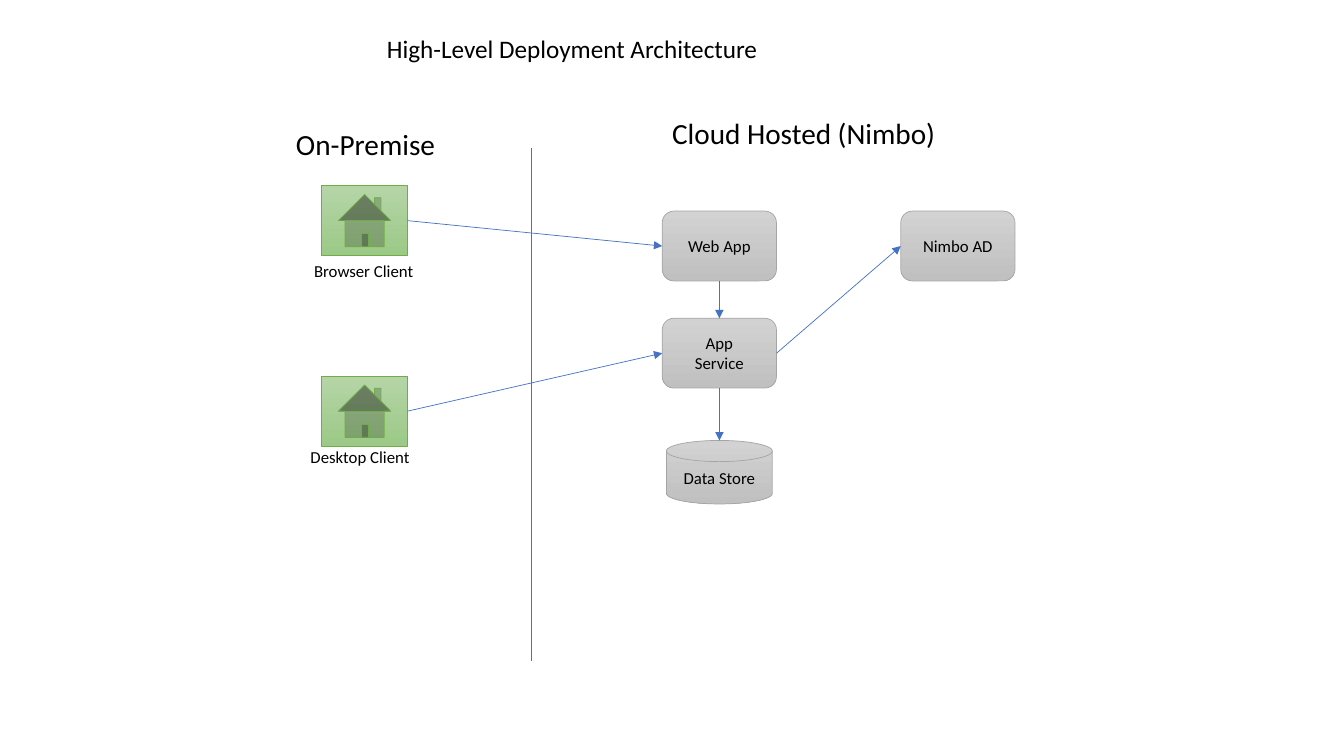
from dataclasses import dataclass

from lxml.etree import SubElement
from pptx import Presentation
from pptx.dml.color import RGBColor
from pptx.enum.shapes import MSO_CONNECTOR as Link, MSO_SHAPE as Kind
from pptx.enum.text import MSO_ANCHOR as Anchor, MSO_AUTO_SIZE as Fit, PP_ALIGN as Align
from pptx.oxml.ns import qn
from pptx.util import Cm, Pt


@dataclass(frozen=True)
class Theme:
    """Colours, font and type sizes of the slide."""
    font: str = "Calibri"
    text: str = "000000"
    arrow: str = "4472C4"
    service: tuple = ("D2D2D2", "C0C0C0", "A5A5A5")  # top, bottom, outline
    client: tuple = ("B5D5A7", "9CC987", "70AD47")
    title_size: float = 18
    zone_size: float = 20.9
    label_size: float = 12
    stroke: float = 0.5


THEME = Theme()

# All lengths are centimetres.
SLIDE_SIZE = (33.87, 19.05)
TITLE = ("High-Level Deployment Architecture", (9.5, 0.71, 9.96, 1.02))
ZONES = [
    ("On-Premise", (7.21, 3.25, 4.72, 0.97)),
    ("Cloud Hosted (Nimbo)", (16.69, 2.97, 8.48, 0.97)),
]
ZONE_DIVIDER = ((13.39, 3.73), (13.39, 16.66))

CLIENT_X, CLOUD_X, DIRECTORY_X = 9.19, 18.13, 24.14
BOX_SIZE, STORE_SIZE, CLIENT_SIZE = (2.88, 1.76), (2.67, 1.6), (2.17, 1.76)
LABEL_HEIGHT = 0.76

# name: (lines, shape, centre, size)
SERVICES = {
    "web": (["Web App"], Kind.ROUNDED_RECTANGLE, (CLOUD_X, 6.2), BOX_SIZE),
    "app": (["App", "Service"], Kind.ROUNDED_RECTANGLE, (CLOUD_X, 8.9), BOX_SIZE),
    "store": (["Data Store"], Kind.FLOWCHART_MAGNETIC_DISK, (CLOUD_X, 11.9), STORE_SIZE),
    "directory": (["Nimbo AD"], Kind.ROUNDED_RECTANGLE, (DIRECTORY_X, 6.2), BOX_SIZE),
}
# name: (label, centre y of the icon, top and width of the label)
CLIENTS = {
    "browser": ("Browser Client", 5.56, 6.45, 3.05),
    "desktop": ("Desktop Client", 10.36, 11.13, 3.23),
}
FLOWS = [
    ("browser", "right", "web", "left"),
    ("web", "bottom", "app", "top"),
    ("app", "bottom", "store", "top"),
    ("desktop", "right", "app", "left"),
    ("app", "right", "directory", "left"),
]
SIDES = {  # connection site, then share of width and height
    "top": (0, 0.5, 0),
    "left": (1, 0, 0.5),
    "bottom": (2, 0.5, 1),
    "right": (3, 1, 0.5),
}


def write(frame, lines, size, align=Align.LEFT, spacing=None):
    """Fill a text frame with one paragraph per line."""
    for number, line in enumerate(lines):
        paragraph = frame.add_paragraph() if number else frame.paragraphs[0]
        paragraph.alignment = align
        if spacing:
            paragraph.line_spacing = spacing
        run = paragraph.add_run()
        run.text = line
        run.font.name = THEME.font
        run.font.size = Pt(size)
        run.font.color.rgb = RGBColor.from_string(THEME.text)


def add_caption(shapes, caption, box, size):
    """Add a one-line text that does not wrap."""
    frame = shapes.add_textbox(*map(Cm, box)).text_frame
    frame.word_wrap = False
    frame.auto_size = Fit.SHAPE_TO_FIT_TEXT
    write(frame, [caption], size)


def add_zone(shapes, heading, box):
    """Add the heading of a hosting zone."""
    frame = shapes.add_textbox(*map(Cm, box)).text_frame
    frame.word_wrap = True
    frame.vertical_anchor = Anchor.MIDDLE
    write(frame, [heading], THEME.zone_size, spacing=0.7)


def add_node(shapes, kind, centre, size, colours):
    """Add a gradient-filled shape around its centre."""
    corner = [c - s / 2 for c, s in zip(centre, size)]
    node = shapes.add_shape(kind, *map(Cm, (*corner, *size)))
    node.shadow.inherit = False
    *shades, outline = colours
    node.fill.gradient()
    node.fill.gradient_angle = 270
    for stop, shade in zip(node.fill.gradient_stops, shades):
        stop.color.rgb = RGBColor.from_string(shade)
    node.line.color.rgb = RGBColor.from_string(outline)
    node.line.width = Pt(THEME.stroke)
    return node


def add_line(shapes, start, end, arrow=False):
    """Add a straight line, with an arrowhead at its end if asked."""
    line = shapes.add_connector(Link.STRAIGHT, *start, *end)
    line.line.color.rgb = RGBColor.from_string(THEME.arrow)
    line.line.width = Pt(THEME.stroke)
    if arrow:
        SubElement(line.line._get_or_add_ln(), qn("a:tailEnd"), type="triangle")
    SubElement(line._element.spPr, qn("a:effectLst"))
    return line


def side_point(node, side):
    """Return the middle of one side of a node."""
    _, across, down = SIDES[side]
    return (int(node.left + node.width * across), int(node.top + node.height * down))


def add_flow(shapes, source, exit_side, target, entry_side):
    """Join two nodes with an arrow, glued to the rounded boxes."""
    start, end = side_point(source, exit_side), side_point(target, entry_side)
    flow = add_line(shapes, start, end, arrow=True)
    for node, side, glue in ((source, exit_side, flow.begin_connect),
                             (target, entry_side, flow.end_connect)):
        if node.auto_shape_type == Kind.ROUNDED_RECTANGLE:
            glue(node, SIDES[side][0])


def build():
    """Build the slide and save it."""
    deck = Presentation()
    deck.slide_width, deck.slide_height = map(Cm, SLIDE_SIZE)
    shapes = deck.slides.add_slide(deck.slide_layouts[6]).shapes

    nodes = {}
    for name, (lines, kind, centre, size) in SERVICES.items():
        nodes[name] = add_node(shapes, kind, centre, size, THEME.service)
        frame = nodes[name].text_frame
        frame.vertical_anchor = Anchor.MIDDLE
        write(frame, lines, THEME.label_size, Align.CENTER)
    for name, (label, icon_y, label_top, width) in CLIENTS.items():
        nodes[name] = add_node(shapes, Kind.ACTION_BUTTON_HOME, (CLIENT_X, icon_y),
                               CLIENT_SIZE, THEME.client)
        label_box = (CLIENT_X - width / 2, label_top, width, LABEL_HEIGHT)
        add_caption(shapes, label, label_box, THEME.label_size)

    for source, exit_side, target, entry_side in FLOWS:
        add_flow(shapes, nodes[source], exit_side, nodes[target], entry_side)
    add_line(shapes, *(tuple(map(Cm, point)) for point in ZONE_DIVIDER))
    for heading, box in ZONES:
        add_zone(shapes, heading, box)
    add_caption(shapes, *TITLE, THEME.title_size)
    deck.save("out.pptx")


build()
